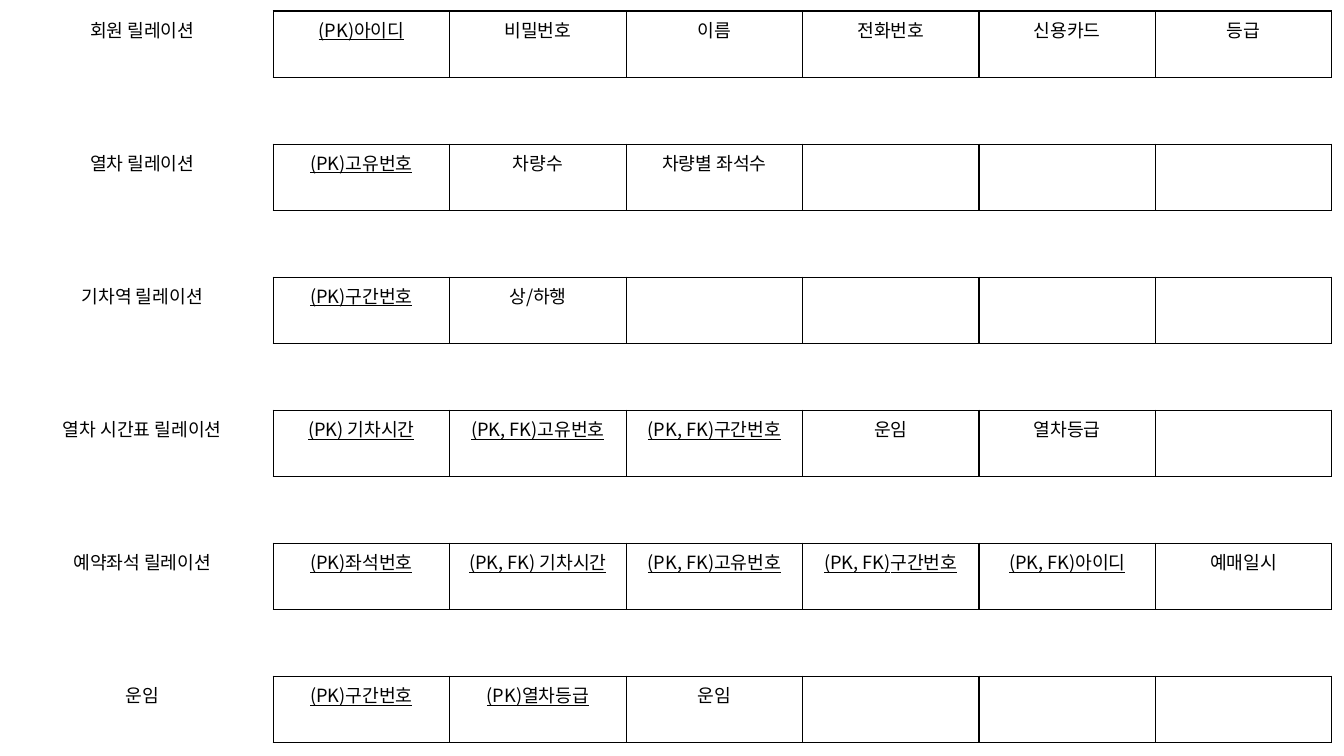
from lxml import etree
from pptx import Presentation
from pptx.dml.color import RGBColor
from pptx.enum.text import PP_ALIGN
from pptx.oxml.ns import qn
from pptx.util import Inches, Pt

CENTER = PP_ALIGN.CENTER
BLANK_LAYOUT = 6
FONT = "Noto Sans CJK KR"
COLORS = {"ink": "000000"}

SLIDE_W, SLIDE_H = 13.33, 7.5
MARGIN = 0.11
NAME_W, FIELD_W, ROW_H = 2.6, 1.75, 0.66
FIELD_COUNT = 6
BORDER_PT = 1

RELATIONS = [
    ("회원 릴레이션", "(PK)아이디", "비밀번호", "이름", "전화번호", "신용카드", "등급"),
    ("열차 릴레이션", "(PK)고유번호", "차량수", "차량별 좌석수"),
    ("기차역 릴레이션", "(PK)구간번호", "상/하행"),
    ("열차 시간표 릴레이션", "(PK) 기차시간", "(PK, FK)고유번호", "(PK, FK)구간번호",
     "운임", "열차등급"),
    ("예약좌석 릴레이션", "(PK)좌석번호", "(PK, FK) 기차시간", "(PK, FK)고유번호",
     "(PK, FK)구간번호", "(PK, FK)아이디", "예매일시"),
    ("운임", "(PK)구간번호", "(PK)열차등급", "운임"),
]


def write(tf, text, size=13, color="ink", underline=False, align=CENTER):
    p = tf.paragraphs[0]
    p.alignment = align
    r = p.add_run()
    r.text = text
    r.font.size = Pt(size)
    r.font.name = FONT
    r.font.underline = underline
    r.font.color.rgb = RGBColor.from_string(COLORS[color])
    etree.SubElement(r.font._element, qn("a:ea"), typeface=FONT)


def set_borders(cell, sides):
    """Draw the sides named by letters out of LRTB and clear the others."""
    tc_pr = cell._tc.get_or_add_tcPr()
    for side in "LRTB":
        ln = etree.SubElement(tc_pr, qn(f"a:ln{side}"), w=str(Pt(BORDER_PT)))
        if side in sides:
            fill = etree.SubElement(ln, qn("a:solidFill"))
            etree.SubElement(fill, qn("a:srgbClr"), val=COLORS["ink"])
        else:
            etree.SubElement(ln, qn("a:noFill"))


def border_sides(row, col, last_row):
    """Box the fields of each relation; names and spacer rows only share edges."""
    is_relation = row % 2 == 0
    if col == 0:
        return "R" if is_relation else ""
    if is_relation:
        return "LRTB"
    return "TB"


def add_relation_table(s, relations):
    """Place one relation on every second row, with a spacer row between."""
    row_count = 2 * len(relations) - 1
    col_widths = [NAME_W] + [FIELD_W] * FIELD_COUNT
    table = s.shapes.add_table(
        row_count, len(col_widths), Inches(MARGIN), Inches(MARGIN),
        Inches(sum(col_widths)), Inches(ROW_H * row_count)).table
    table.first_row = table.horz_banding = False
    for column, width in zip(table.columns, col_widths):
        column.width = Inches(width)
    for i, row in enumerate(table.rows):
        row.height = Inches(ROW_H)
        for j, cell in enumerate(row.cells):
            set_borders(cell, border_sides(i, j, row_count - 1))
            cell.fill.background()
    for i, relation in enumerate(relations):
        for j, text in enumerate(relation):
            write(table.cell(2 * i, j).text_frame, text,
                  underline=text.startswith("(PK"))


def main():
    prs = Presentation()
    prs.slide_width, prs.slide_height = Inches(SLIDE_W), Inches(SLIDE_H)
    s = prs.slides.add_slide(prs.slide_layouts[BLANK_LAYOUT])
    add_relation_table(s, RELATIONS)
    prs.save("out.pptx")


if __name__ == "__main__":
    main()
